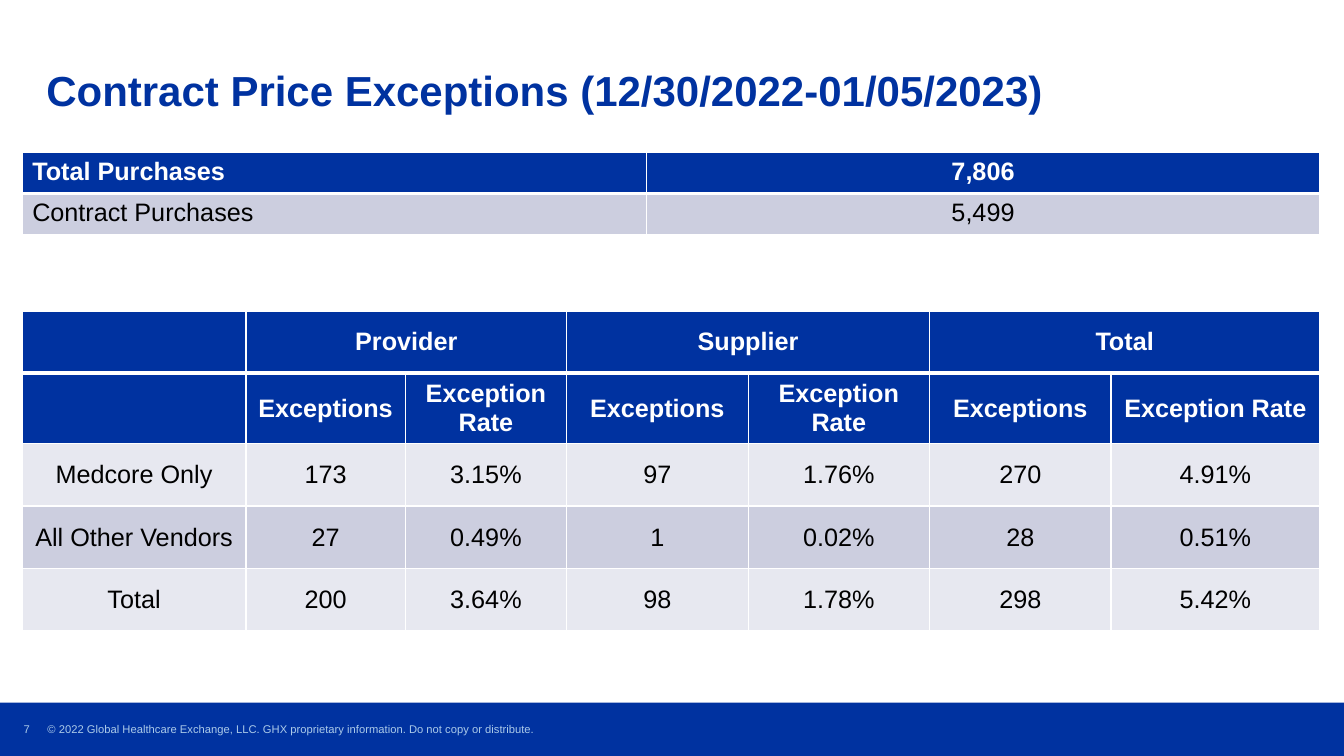
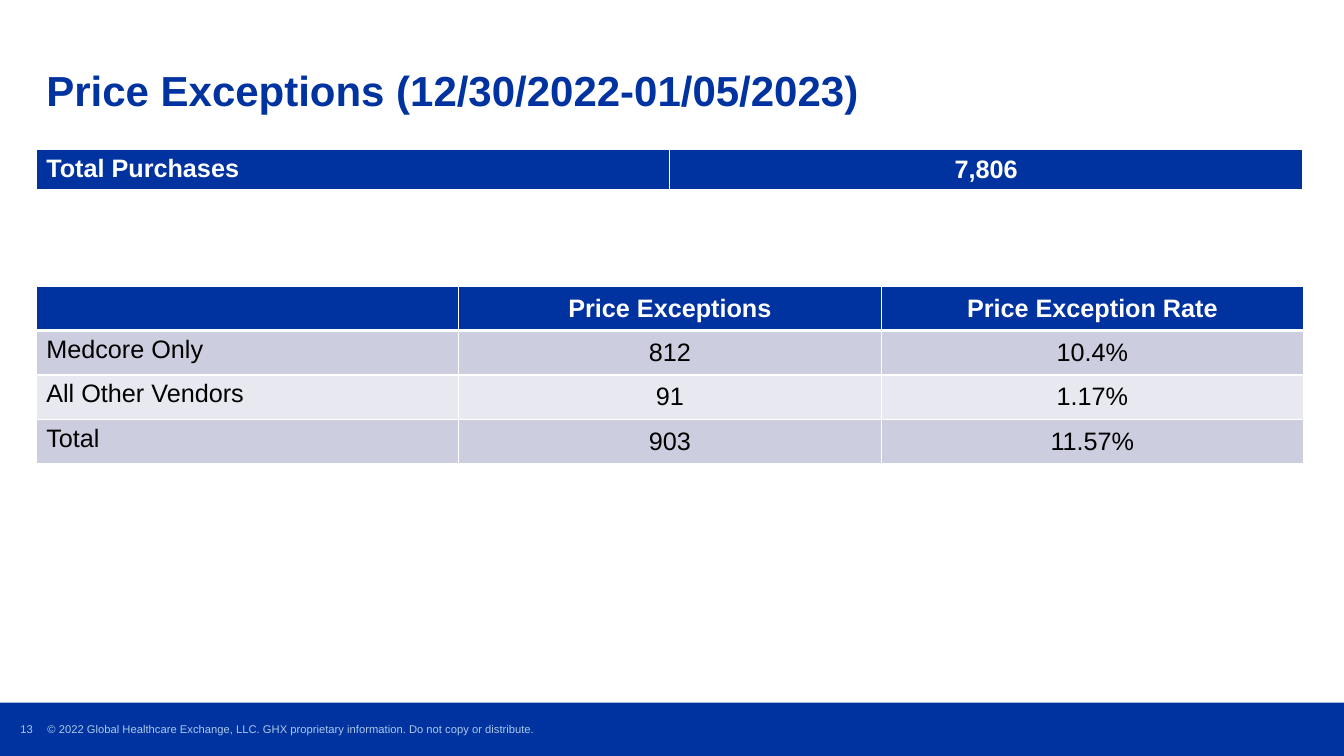
"""Build two slides of price exception tables."""
from lxml import etree
from pptx import Presentation
from pptx import util as u
from pptx.dml.color import RGBColor
from pptx.enum import shapes, text
from pptx.oxml.ns import qn

BLUE, PALE, WHITE, BLACK = "0032A0", "ABCAE9", "FFFFFF", "000000"
DARK_ROW, LIGHT_ROW = "CCCEDF", "E7E8F0"
FONT = "Arial"
LEFT, CENTER = text.PP_ALIGN.LEFT, text.PP_ALIGN.CENTER
TOP, MIDDLE = text.MSO_ANCHOR.TOP, text.MSO_ANCHOR.MIDDLE
FOOTER = ("© 2022 Global Healthcare Exchange, LLC. GHX proprietary information. "
          "Do not copy or distribute.")

SLIDES = [
    {"title": "Contract Price Exceptions (12/30/2022-01/05/2023)", "page": "7",
     "tables": [
         {"at": (0.22, 1.51), "cols": [6.19, 6.68], "heights": [0.41] * 2,
          "fills": [BLUE, DARK_ROW], "lead": (LEFT, TOP), "value": TOP,
          "rows": [["Total Purchases", "7,806"],
                   ["Contract Purchases", "5,499"]]},
         {"at": (0.22, 3.09), "cols": [2.22, 1.58, 1.6, 1.8, 1.8, 1.8, 2.07],
          "heights": [0.61] * 2 + [0.62] * 3,
          "fills": [BLUE, BLUE, LIGHT_ROW, DARK_ROW, LIGHT_ROW],
          "lead": (CENTER, MIDDLE), "value": MIDDLE, "pairs": (1, 3, 5),
          "rows": [["", "Provider", "", "Supplier", "", "Total", ""],
                   [""] + ["Exceptions", "Exception Rate"] * 3,
                   ["Medcore Only", "173", "3.15%", "97", "1.76%", "270", "4.91%"],
                   ["All Other Vendors", "27", "0.49%", "1", "0.02%", "28", "0.51%"],
                   ["Total", "200", "3.64%", "98", "1.78%", "298", "5.42%"]]},
     ]},
    {"title": "Price Exceptions (12/30/2022-01/05/2023)", "page": "13",
     "tables": [
         {"at": (0.36, 1.48), "cols": [6.28] * 2, "heights": [0.41],
          "fills": [BLUE], "lead": (LEFT, TOP), "value": MIDDLE,
          "rows": [["Total Purchases", "7,806"]]},
         {"at": (0.36, 2.84), "cols": [4.19] * 3, "heights": [0.44] * 4,
          "fills": [BLUE, DARK_ROW, LIGHT_ROW, DARK_ROW],
          "lead": (LEFT, TOP), "value": MIDDLE,
          "rows": [["", "Price Exceptions", "Price Exception Rate"],
                   ["Medcore Only", "812", "10.4%"],
                   ["All Other Vendors", "91", "1.17%"],
                   ["Total", "903", "11.57%"]]},
     ]},
]


def rgb(color):
    return RGBColor.from_string(color)


def style(p, size, color, bold=False, align=LEFT):
    p.alignment = align
    for font in [p.font] + [r.font for r in p.runs]:
        font.name, font.size, font.bold = FONT, u.Pt(size), bold
        font.color.rgb = rgb(color)


def add_band(s, layout):
    sp = s.shapes.add_shape(shapes.MSO_SHAPE.RECTANGLE, 0, u.Inches(6.97),
                            u.Inches(13.33), u.Inches(0.53))
    sp.shadow.inherit = False
    sp.fill.solid()
    sp.fill.fore_color.rgb = rgb(BLUE)
    sp.line.fill.background()
    layout.shapes.element.append(sp.element)


def add_title(s, title):
    sp = s.shapes.title
    sp.left, sp.top, sp.width, sp.height = map(u.Inches, (0.36, 0.2, 12.56, 1))
    tf = sp.text_frame
    tf.text = title
    tf.auto_size = text.MSO_AUTO_SIZE.NONE
    tf.vertical_anchor = text.MSO_ANCHOR.BOTTOM
    tf.paragraphs[0].line_spacing = 0.9
    style(tf.paragraphs[0], 30, BLUE, True)


def add_footer_text(s, at, label, align):
    tf = s.shapes.add_textbox(*map(u.Inches, at)).text_frame
    tf.word_wrap = True
    tf.vertical_anchor = MIDDLE
    tf.margin_left = tf.margin_top = tf.margin_right = tf.margin_bottom = 0
    tf.text = label
    style(tf.paragraphs[0], 8, PALE, align=align)


def set_borders(cell, top, bottom):
    tc_pr = cell._tc.get_or_add_tcPr()
    for side, width in zip("LRTB", (1, 1, top, bottom)):
        ln = etree.SubElement(tc_pr, qn(f"a:ln{side}"), w=str(u.Pt(width)))
        fill = etree.SubElement(ln, qn("a:solidFill"))
        etree.SubElement(fill, qn("a:srgbClr"), val=WHITE)


def add_grid(s, spec):
    rows, cols, heights = spec["rows"], spec["cols"], spec["heights"]
    size = sum(cols), sum(heights)
    table = s.shapes.add_table(len(rows), len(cols),
                               *map(u.Inches, spec["at"] + size)).table
    table.horz_banding = False
    for column, width in zip(table.columns, cols):
        column.width = u.Inches(width)
    for i, (row, height, fill) in enumerate(zip(rows, heights, spec["fills"])):
        table.rows[i].height = u.Inches(height)
        header = fill == BLUE
        for j, label in enumerate(row):
            cell = table.cell(i, j)
            align, anchor = (CENTER, spec["value"]) if j else spec["lead"]
            set_borders(cell, 3 if i == 1 else 1, 3 if i == 0 else 1)
            cell.fill.solid()
            cell.fill.fore_color.rgb = rgb(fill)
            cell.vertical_anchor = anchor
            cell.text_frame.text = label
            style(cell.text_frame.paragraphs[0], 18,
                  WHITE if header else BLACK, header, align)
    for j in spec.get("pairs", ()):
        table.cell(0, j).merge(table.cell(0, j + 1))


def main():
    prs = Presentation()
    prs.slide_width, prs.slide_height = u.Inches(13.33), u.Inches(7.5)
    layout = prs.slide_layouts[5]
    for i, content in enumerate(SLIDES):
        s = prs.slides.add_slide(layout)
        if i == 0:
            add_band(s, layout)
        add_title(s, content["title"])
        add_footer_text(s, (0.08, 7.14, 0.37, 0.18), content["page"], CENTER)
        add_footer_text(s, (0.47, 7.03, 7.48, 0.4), FOOTER, LEFT)
        for table in content["tables"]:
            add_grid(s, table)
    prs.save("out.pptx")


if __name__ == "__main__":
    main()
